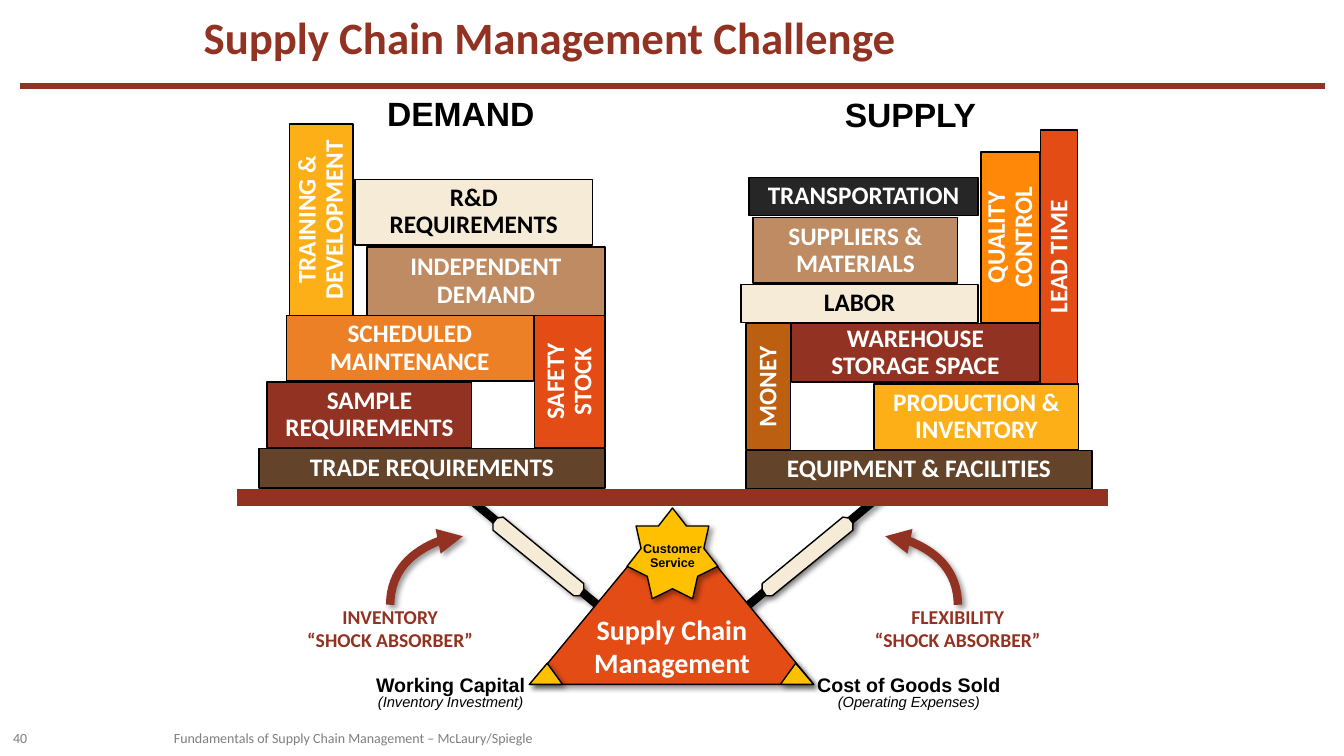
"""Build the supply chain management challenge slide: demand and supply on a balance."""
from lxml import etree
from pptx import Presentation
from pptx.dml.color import RGBColor
from pptx.enum.shapes import MSO_CONNECTOR, MSO_SHAPE
from pptx.enum.text import MSO_ANCHOR, PP_ALIGN
from pptx.oxml.ns import qn
from pptx.util import Inches, Pt

LEFT, CENTER, RIGHT = PP_ALIGN.LEFT, PP_ALIGN.CENTER, PP_ALIGN.RIGHT
TOP, MIDDLE, BOTTOM = MSO_ANCHOR.TOP, MSO_ANCHOR.MIDDLE, MSO_ANCHOR.BOTTOM
STRAIGHT, CURVE = MSO_CONNECTOR.STRAIGHT, MSO_CONNECTOR.CURVE
RECT, STAR, TRIANGLE = MSO_SHAPE.RECTANGLE, MSO_SHAPE.STAR_7_POINT, MSO_SHAPE.ISOSCELES_TRIANGLE
COLORS = {
    "brick": "923222", "black": "000000", "white": "FFFFFF", "cream": "F5EBD7",
    "red": "E44C16", "rust": "BD5F11", "brown": "634329", "amber": "FCAF17",
    "orange": "FF8808", "tan": "BE8B62", "coal": "262626", "pumpkin": "EC8026",
    "gold": "FFC000", "gray": "7F7F7F",
}
RGB = {name: RGBColor.from_string(value) for name, value in COLORS.items()}
MIRROR = 13.35


def outline(sp, line, width, fill=None, shadow=False):
    """Set the line, the fill and the shadow of a shape or connector."""
    sp.line.color.rgb = RGB[line]
    sp.line.width = Pt(width)
    if fill:
        sp.fill.solid()
        sp.fill.fore_color.rgb = RGB[fill]
    effects = etree.SubElement(sp._element.spPr, qn("a:effectLst"))
    if shadow:
        outer = etree.SubElement(effects, qn("a:outerShdw"), blurRad=str(Pt(4)),
                                 dist=str(Pt(3)), dir="2700000", algn="tl", rotWithShape="0")
        black = etree.SubElement(outer, qn("a:srgbClr"), val=COLORS["black"])
        etree.SubElement(black, qn("a:alpha"), val="40000")


def write(sp, text, size, color, font="Calibri", bold=True, align=CENTER,
          anchor=MIDDLE, spacing=None, wrap=False, margins=(0, 0, 0, 0)):
    """Fill a shape with one formatted paragraph per line of text."""
    tf = sp.text_frame
    tf.word_wrap = wrap
    tf.vertical_anchor = anchor
    for side, value in zip(("left", "top", "right", "bottom"), margins):
        setattr(tf, f"margin_{side}", Inches(value))
    tf.text = text
    for p in tf.paragraphs:
        p.alignment = align
        p.line_spacing = spacing
        for key, value in {"name": font, "size": Pt(size), "bold": bold}.items():
            setattr(p.font, key, value)
        p.font.color.rgb = RGB[color]
    return tf


prs = Presentation()
prs.slide_width, prs.slide_height = Inches(13.33), Inches(7.5)
s = prs.slides.add_slide(prs.slide_layouts[5])
shapes = s.shapes

title = shapes.title
title.left, title.top, title.width, title.height = map(Inches, (1.92, 0.15, 9.34, 0.53))
write(title, "Supply Chain Management Challenge", 32, "brick", align=LEFT,
      anchor=BOTTOM, spacing=0.8, wrap=True, margins=(0.1, 0.05, 0.1, 0.05))

handle = [(7.56, 5.85), (7.56, 5.79), (8.36, 5.13), (8.42, 5.14), (8.46, 5.19),
          (8.46, 5.26), (7.66, 5.91), (7.6, 5.91)]
for flipped in (False, True):
    arm = [(abs(MIRROR * flipped - x), y) for x, y in [(8.86, 4.81), (7.39, 6.03)]]
    grip = [(abs(MIRROR * flipped - x), y) for x, y in handle]
    c = shapes.add_connector(STRAIGHT, *[Inches(v) for point in arm for v in point])
    outline(c, "black", 6, shadow=True)
    points = [(Inches(x), Inches(y)) for x, y in grip]
    builder = shapes.build_freeform(*points[0])
    builder.add_line_segments(points[1:], close=True)
    outline(builder.convert_to_shape(), "black", 1, "cream", True)

base = [(Inches(x), Inches(y)) for x, y in [(6.67, 5.08), (5.26, 6.79), (8.07, 6.79)]]
builder = shapes.build_freeform(*base[0])
builder.add_line_segments(base[1:], close=True)
fulcrum = builder.convert_to_shape()
outline(fulcrum, "black", 1, "red", True)
write(fulcrum, "Supply Chain Management", 20, "white", anchor=BOTTOM, wrap=True,
      margins=(0.5, 0.05, 0.5, 0.05))

labels = [
    ("DEMAND", 3.83, 0.92, 1.48, 0.4, 24, "black", "Arial"),
    ("SUPPLY", 8.37, 0.93, 1.32, 0.4, 24, "black", "Arial"),
    ("INVENTORY\n“SHOCK ABSORBER”", 2.84, 6, 2.06, 0.47, 14, "brick", "Calibri"),
    ("FLEXIBILITY\n“SHOCK ABSORBER”", 8.47, 6, 2.06, 0.47, 14, "brick", "Calibri"),
]
for text, x, y, w, h, size, color, font in labels:
    sp = shapes.add_textbox(*map(Inches, (x, y, w, h)))
    write(sp, text, size, color, font, anchor=TOP)

captions = [
    ("Working Capital\n(Inventory Investment)", 3.51, 1.92),
    ("Cost of Goods Sold\n(Operating Expenses)", 8, 2.03),
]
for text, x, w in captions:
    sp = shapes.add_textbox(*map(Inches, (x, 6.67, w, 0.43)))
    tf = write(sp, text, 14, "black", "Arial", anchor=TOP, spacing=0.8,
               margins=(0.1, 0.05, 0.1, 0.05))
    for key, value in {"size": Pt(10.5), "bold": False, "italic": True}.items():
        setattr(tf.paragraphs[1].font, key, value)

blocks = [
    ("MONEY", 7.4, 3.21, 0.44, 1.25, "rust"),
    ("EQUIPMENT & FACILITIES", 7.4, 4.47, 3.43, 0.38, "brown"),
    ("PRODUCTION &\nINVENTORY", 8.67, 3.81, 2.03, 0.65, "amber"),
    ("LABOR", 7.35, 2.82, 2.35, 0.38, "cream"),
    ("QUALITY\nCONTROL", 9.73, 1.51, 0.58, 1.69, "orange"),
    ("LEAD TIME", 10.32, 1.29, 0.37, 2.52, "red"),
    ("SUPPLIERS &\nMATERIALS", 7.47, 2.16, 2.03, 0.65, "tan"),
    ("TRANSPORTATION", 7.43, 1.76, 2.27, 0.38, "coal"),
    ("WAREHOUSE\nSTORAGE SPACE", 7.85, 3.21, 2.46, 0.58, "brick"),
    ("SAFETY\nSTOCK", 5.3, 3.13, 0.7, 1.31, "red"),
    ("TRADE REQUIREMENTS", 2.57, 4.45, 3.43, 0.39, "brown"),
    ("SAMPLE\nREQUIREMENTS", 2.65, 3.79, 2.03, 0.65, "brick"),
    ("SCHEDULED\nMAINTENANCE", 2.84, 3.13, 2.45, 0.65, "pumpkin"),
    ("INDEPENDENT\nDEMAND", 3.64, 2.45, 2.36, 0.68, "tan"),
    ("TRAINING &\nDEVELOPMENT", 2.87, 1.23, 0.63, 1.9, "amber"),
    ("R&D\nREQUIREMENTS", 3.52, 1.78, 2.36, 0.65, "cream"),
]
for text, x, y, w, h, fill in blocks:
    sp = shapes.add_shape(RECT, *map(Inches, (x, y, w, h)))
    outline(sp, "black", 1, fill)
    tf = write(sp, text, 18, "black" if fill == "cream" else "white", spacing=0.9)
    if h > w:
        tf._txBody.bodyPr.set("vert", "vert270")

rules = [(0.2, 13.14, 0.85, 4.5), (2.35, 10.99, 4.96, 8.5), (2.35, 10.99, 4.91, 8.5)]
for start, end, y, width in rules:
    c = shapes.add_connector(STRAIGHT, *map(Inches, (start, y, end, y)))
    outline(c, "brick", width)

star = shapes.add_shape(STAR, *map(Inches, (6.22, 5.04, 0.9, 0.9)))
outline(star, "black", 1, "gold", True)
write(star, "Customer\nService", 9, "black", "Arial", spacing=0.9, margins=(0, 0.1, 0, 0))

arrows = [((8.8, 6.02, 9.48, 5.3), 270), ((4.57, 6.02, 3.89, 5.3), 90)]
for ends, angle in arrows:
    c = shapes.add_connector(CURVE, *map(Inches, ends))
    outline(c, "brick", 6, shadow=True)
    spPr = c._element.spPr
    spPr.find(qn("a:xfrm")).set("rot", str(angle * 60000))
    spPr.find(qn("a:prstGeom")).set("prst", "curvedConnector2")
    etree.SubElement(spPr.find(qn("a:ln")), qn("a:tailEnd"), type="triangle")

for x, peak in [(5.25, 0.54), (7.74, 0.46)]:
    corner = shapes.add_shape(TRIANGLE, *map(Inches, (x, 6.58, 0.33, 0.21)))
    corner.adjustments[0] = peak
    outline(corner, "black", 1, "gold", True)

footers = [
    ("40", 0.13, 0.28, LEFT),
    ("Fundamentals of Supply Chain Management – McLaury/Spiegle", 0.42, 4.86, RIGHT),
]
for text, x, w, align in footers:
    sp = shapes.add_textbox(*map(Inches, (x, 7.23, w, 0.19)))
    write(sp, text, 10, "gray", bold=False, align=align, wrap=True)

prs.save("out.pptx")
